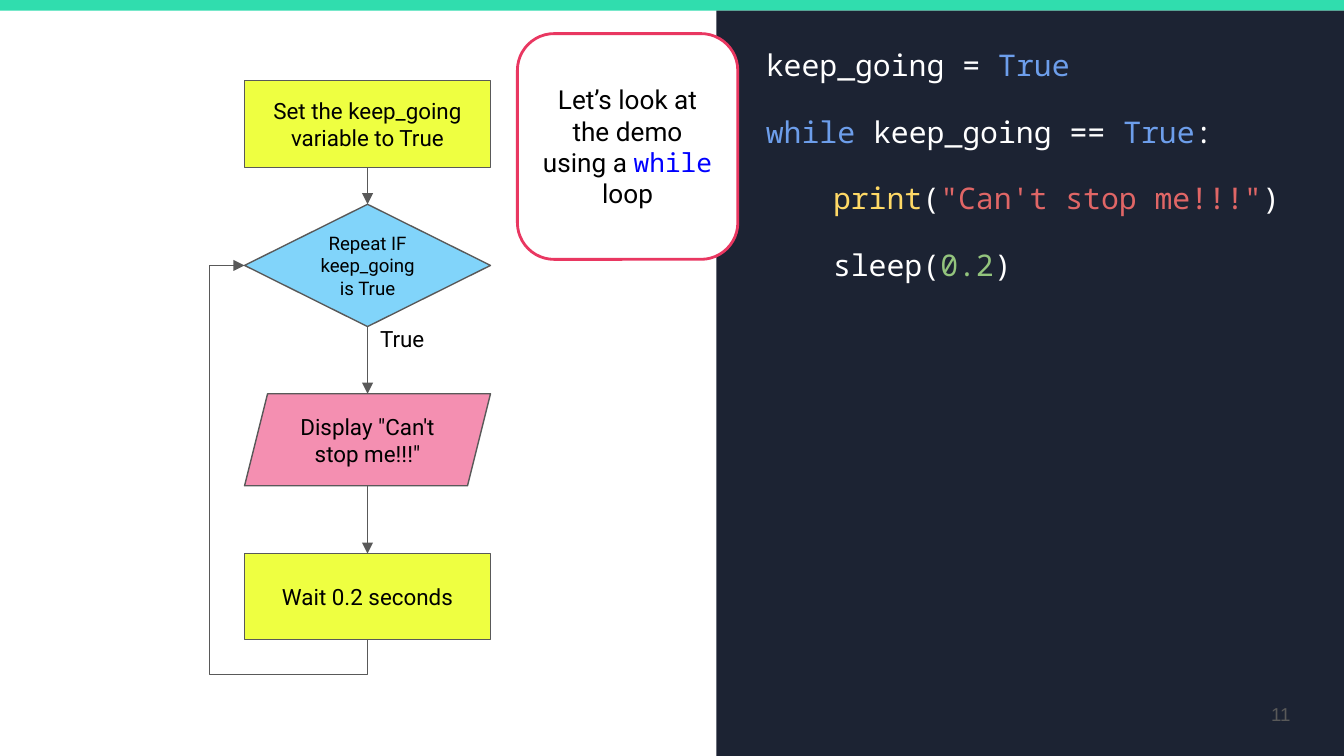
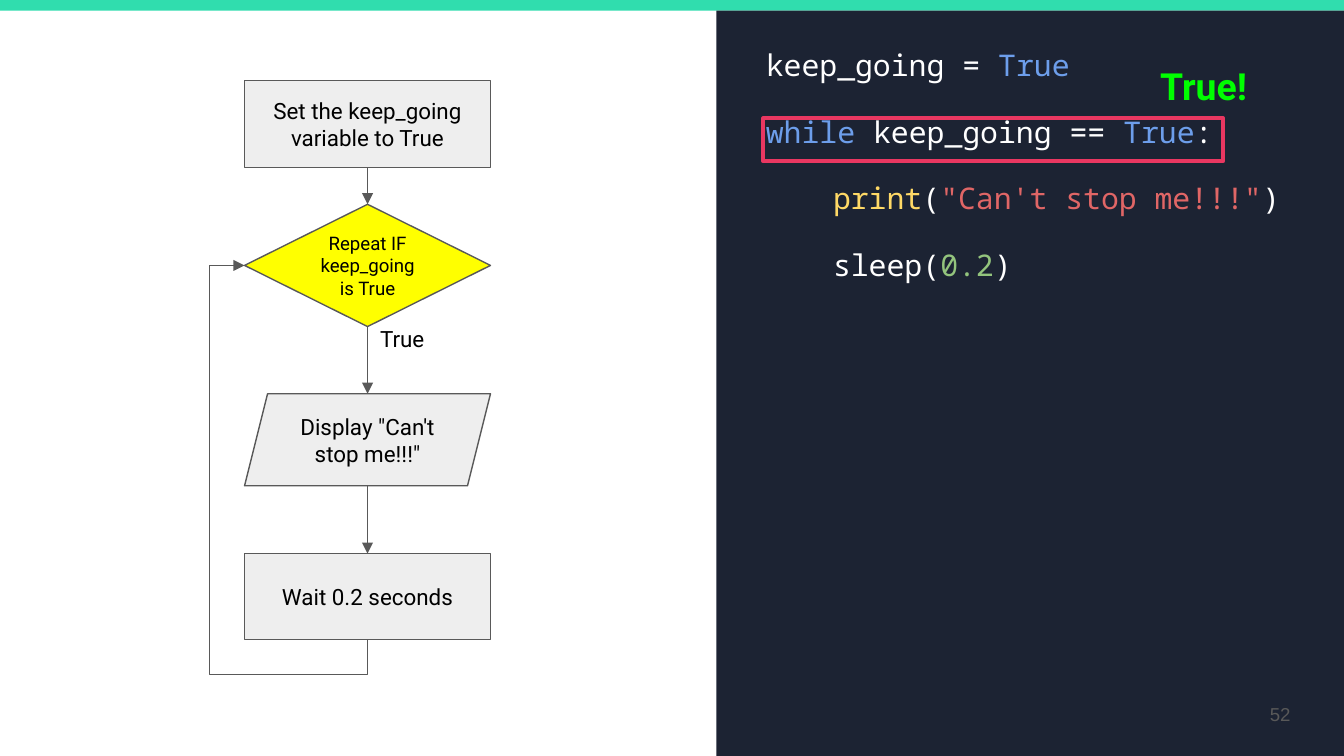
"""Build two slides pairing a while-loop flowchart with its code."""
from dataclasses import dataclass
from typing import Optional

from lxml.etree import SubElement
from pptx import Presentation
from pptx.dml.color import RGBColor
from pptx.enum.shapes import MSO_CONNECTOR, MSO_SHAPE
from pptx.enum.text import MSO_ANCHOR, PP_ALIGN
from pptx.oxml.ns import qn
from pptx.shapes.autoshape import Shape
from pptx.shapes.connector import Connector
from pptx.slide import Slide
from pptx.util import Emu, Pt

EMU_PER_PX = 4572


@dataclass(frozen=True)
class Theme:
    """Colours, fonts and type sizes of the deck."""

    band: str = "30DDAE"
    panel: str = "1C2333"
    white: str = "FFFFFF"
    black: str = "000000"
    grey: str = "595959"
    accent: str = "E93761"
    action: str = "EEFF41"
    decision: str = "81D4FA"
    output: str = "F48FB1"
    inactive: str = "EEEEEE"
    active: str = "FFFF00"
    verdict: str = "00FF00"
    inline_code: str = "0000FF"
    keyword: str = "6D9EEB"
    function: str = "FFD966"
    string: str = "E06666"
    number: str = "93C47D"
    body_font: str = "Roboto"
    code_font: str = "Noto Sans Mono"
    number_font: str = "Arial"
    code_size: int = 16
    code_gap: float = 16.4
    body_size: int = 12
    small_size: int = 10
    callout_size: int = 14
    verdict_size: int = 20
    thin: float = 0.75
    medium: float = 1.5
    thick: float = 2.25


THEME = Theme()


@dataclass(frozen=True)
class Box:
    """A rectangle in px."""

    left: int
    top: int
    width: int
    height: int

    @property
    def center(self) -> int:
        """Return the horizontal middle."""
        return self.left + self.width // 2

    @property
    def middle(self) -> int:
        """Return the vertical middle."""
        return self.top + self.height // 2

    @property
    def bottom(self) -> int:
        """Return the lower edge."""
        return self.top + self.height

    def emu(self) -> tuple[Emu, Emu, Emu, Emu]:
        """Return left, top, width and height in EMU."""
        return px(self.left), px(self.top), px(self.width), px(self.height)


@dataclass(frozen=True)
class Span:
    """A run of text with its own style."""

    text: str
    color: str = THEME.black
    size: int = THEME.body_size
    font: str = THEME.body_font
    bold: bool = False


@dataclass(frozen=True)
class Line:
    """A paragraph of spans with a left indent in px."""

    spans: tuple[Span, ...]
    indent: int = 0


@dataclass(frozen=True)
class Step:
    """One flowchart step."""

    text: str
    kind: MSO_SHAPE
    box: Box
    size: int = THEME.body_size


@dataclass(frozen=True)
class Page:
    """What differs between the slides."""

    number: str
    fills: tuple[str, str, str, str]


def px(length: int) -> Emu:
    """Turn px into EMU."""
    return Emu(length * EMU_PER_PX)


def code(text: str, color: str = THEME.white) -> Span:
    """Return a span of source code."""
    return Span(text, color, THEME.code_size, THEME.code_font)


STEP_LEFT, STEP_WIDTH, INSET = 364, 366, 20
STEPS = (
    Step("Set the keep_going variable to True", MSO_SHAPE.RECTANGLE,
         Box(STEP_LEFT, 120, STEP_WIDTH, 129)),
    Step("Repeat IF keep_going is True", MSO_SHAPE.DIAMOND,
         Box(STEP_LEFT, 304, STEP_WIDTH, 182), THEME.small_size),
    Step("Display \"Can't stop me!!!\"", MSO_SHAPE.PARALLELOGRAM,
         Box(STEP_LEFT, 586, STEP_WIDTH, 137)),
    Step("Wait 0.2 seconds", MSO_SHAPE.RECTANGLE,
         Box(STEP_LEFT, 824, STEP_WIDTH, 128)),
)
CODE = (
    Line((code("keep_going = "), code("True", THEME.keyword))),
    Line((code("while", THEME.keyword), code(" keep_going == "),
          code("True", THEME.keyword), code(":"))),
    Line((code("print", THEME.function), code("("),
          code("\"Can't stop me!!!\"", THEME.string), code(")")), 100),
    Line((code("sleep("), code("0.2", THEME.number), code(")")), 100),
)
DEMO_PAGE = Page("11", (THEME.action, THEME.decision, THEME.output, THEME.action))
TRACE_PAGE = Page("52", (THEME.inactive, THEME.active, THEME.inactive, THEME.inactive))


def write(shape: Shape, lines: tuple[Line, ...], align: PP_ALIGN = PP_ALIGN.LEFT,
          anchor: MSO_ANCHOR = MSO_ANCHOR.TOP, gap: float = 0) -> None:
    """Fill a shape with paragraphs, run by run."""
    frame = shape.text_frame
    frame.word_wrap = True
    frame.vertical_anchor = anchor
    frame.margin_left = frame.margin_right = px(INSET)
    frame.margin_top = frame.margin_bottom = px(INSET)
    for index, line in enumerate(lines):
        paragraph = frame.add_paragraph() if index else frame.paragraphs[0]
        paragraph.alignment = align
        if index:
            paragraph.space_before = Pt(gap)
        if line.indent:
            paragraph._p.get_or_add_pPr().set("marL", str(px(line.indent)))
        for span in line.spans:
            run = paragraph.add_run()
            run.text = span.text
            run.font.name = span.font
            run.font.size = Pt(span.size)
            run.font.bold = span.bold
            run.font.color.rgb = RGBColor.from_string(span.color)


def add_text(slide: Slide, box: Box, *lines: Line, align: PP_ALIGN = PP_ALIGN.LEFT,
             anchor: MSO_ANCHOR = MSO_ANCHOR.TOP, gap: float = 0) -> None:
    """Add a text box."""
    write(slide.shapes.add_textbox(*box.emu()), lines, align, anchor, gap)


def add_block(slide: Slide, kind: MSO_SHAPE, box: Box, fill: Optional[str] = None,
              line: Optional[str] = None, weight: float = THEME.thin) -> Shape:
    """Add a flat preset shape."""
    shape = slide.shapes.add_shape(kind, *box.emu())
    shape.shadow.inherit = False
    if fill:
        shape.fill.solid()
        shape.fill.fore_color.rgb = RGBColor.from_string(fill)
    else:
        shape.fill.background()
    if line:
        shape.line.color.rgb = RGBColor.from_string(line)
        shape.line.width = Pt(weight)
    else:
        shape.line.fill.background()
    return shape


def add_arrow(slide: Slide, kind: MSO_CONNECTOR, start: tuple[int, int],
              end: tuple[int, int]) -> Connector:
    """Add a thin connector with a triangle at its end."""
    connector = slide.shapes.add_connector(kind, *map(px, start + end))
    connector.line.color.rgb = RGBColor.from_string(THEME.grey)
    connector.line.width = Pt(THEME.thin)
    SubElement(connector.line._get_or_add_ln(), qn("a:tailEnd"), type="triangle")
    SubElement(connector._element.spPr, qn("a:effectLst"))
    return connector


def add_loop_back(slide: Slide, source: Box, target: Box) -> None:
    """Add the bent arrow from below the last step to the decision's left."""
    start, end = (source.center, source.bottom), (target.left, target.middle)
    connector = add_arrow(slide, MSO_CONNECTOR.ELBOW, start, end)
    run, rise = start[0] - end[0], start[1] - end[1]
    connector.left = px((start[0] + end[0] - rise) // 2)
    connector.top = px((start[1] + end[1] - run) // 2)
    connector.width, connector.height = px(rise), px(run)
    properties = connector._element.spPr
    transform = properties.find(qn("a:xfrm"))
    transform.attrib.pop("flipV", None)
    transform.set("rot", "5400000")
    transform.set("flipH", "1")
    geometry = properties.find(qn("a:prstGeom"))
    geometry.set("prst", "bentConnector4")
    guides = geometry.find(qn("a:avLst"))
    for name, value in (("adj1", -9300), ("adj2", 128600)):
        SubElement(guides, qn("a:gd"), name=name, fmla=f"val {value}")


def add_flowchart(slide: Slide, fills: tuple[str, ...]) -> None:
    """Draw the steps, the arrows between them and the loop back."""
    add_text(slide, Box(546, 464, 120, 76), Line((Span("True"),)))
    shapes = []
    for step, fill in zip(STEPS, fills):
        shape = add_block(slide, step.kind, step.box, fill, THEME.grey)
        write(shape, (Line((Span(step.text, size=step.size),)),),
              PP_ALIGN.CENTER, MSO_ANCHOR.MIDDLE)
        shapes.append(shape)
    for index, (upper, lower) in enumerate(zip(STEPS, STEPS[1:])):
        arrow = add_arrow(slide, MSO_CONNECTOR.STRAIGHT,
                          (upper.box.center, upper.box.bottom),
                          (lower.box.center, lower.box.top))
        if upper.kind != MSO_SHAPE.PARALLELOGRAM:
            arrow.begin_connect(shapes[index], 2)
        if lower.kind != MSO_SHAPE.PARALLELOGRAM:
            arrow.end_connect(shapes[index + 1], 0)
    add_loop_back(slide, STEPS[-1].box, STEPS[1].box)


def add_page(presentation: Presentation, page: Page) -> Slide:
    """Add a slide with everything the two share."""
    slide = presentation.slides.add_slide(presentation.slide_layouts[6])
    add_block(slide, MSO_SHAPE.RECTANGLE, Box(0, 0, 2000, 16), THEME.band)
    add_block(slide, MSO_SHAPE.RECTANGLE, Box(1066, 16, 934, 1109), THEME.panel)
    add_text(slide, Box(1120, 50, 820, 970), *CODE, gap=THEME.code_gap)
    number = Span(page.number, THEME.grey, THEME.small_size, THEME.number_font)
    add_text(slide, Box(1820, 1020, 120, 86), Line((number,)),
             align=PP_ALIGN.RIGHT, anchor=MSO_ANCHOR.MIDDLE)
    add_flowchart(slide, page.fills)
    return slide


def add_callout(slide: Slide) -> None:
    """Add the rounded note that introduces the demo."""
    callout = add_block(slide, MSO_SHAPE.ROUNDED_RECTANGLE, Box(770, 50, 328, 336),
                        THEME.white, THEME.accent, THEME.medium)
    size = THEME.callout_size
    spans = (Span("Let’s look at the demo using a ", size=size),
             Span("while ", THEME.inline_code, size, THEME.code_font),
             Span("loop", size=size))
    write(callout, (Line(spans),), PP_ALIGN.CENTER, MSO_ANCHOR.MIDDLE)


def add_verdict(slide: Slide) -> None:
    """Frame the loop condition and state its value."""
    add_block(slide, MSO_SHAPE.RECTANGLE, Box(1136, 176, 684, 64),
              line=THEME.accent, weight=THEME.thick)
    verdict = Span("True!", THEME.verdict, THEME.verdict_size, bold=True)
    add_text(slide, Box(1652, 74, 278, 112), Line((verdict,)), align=PP_ALIGN.CENTER)


def main() -> None:
    """Build and save the deck."""
    presentation = Presentation()
    presentation.slide_width, presentation.slide_height = px(2000), px(1125)
    add_callout(add_page(presentation, DEMO_PAGE))
    add_verdict(add_page(presentation, TRACE_PAGE))
    presentation.save("out.pptx")


if __name__ == "__main__":
    main()
